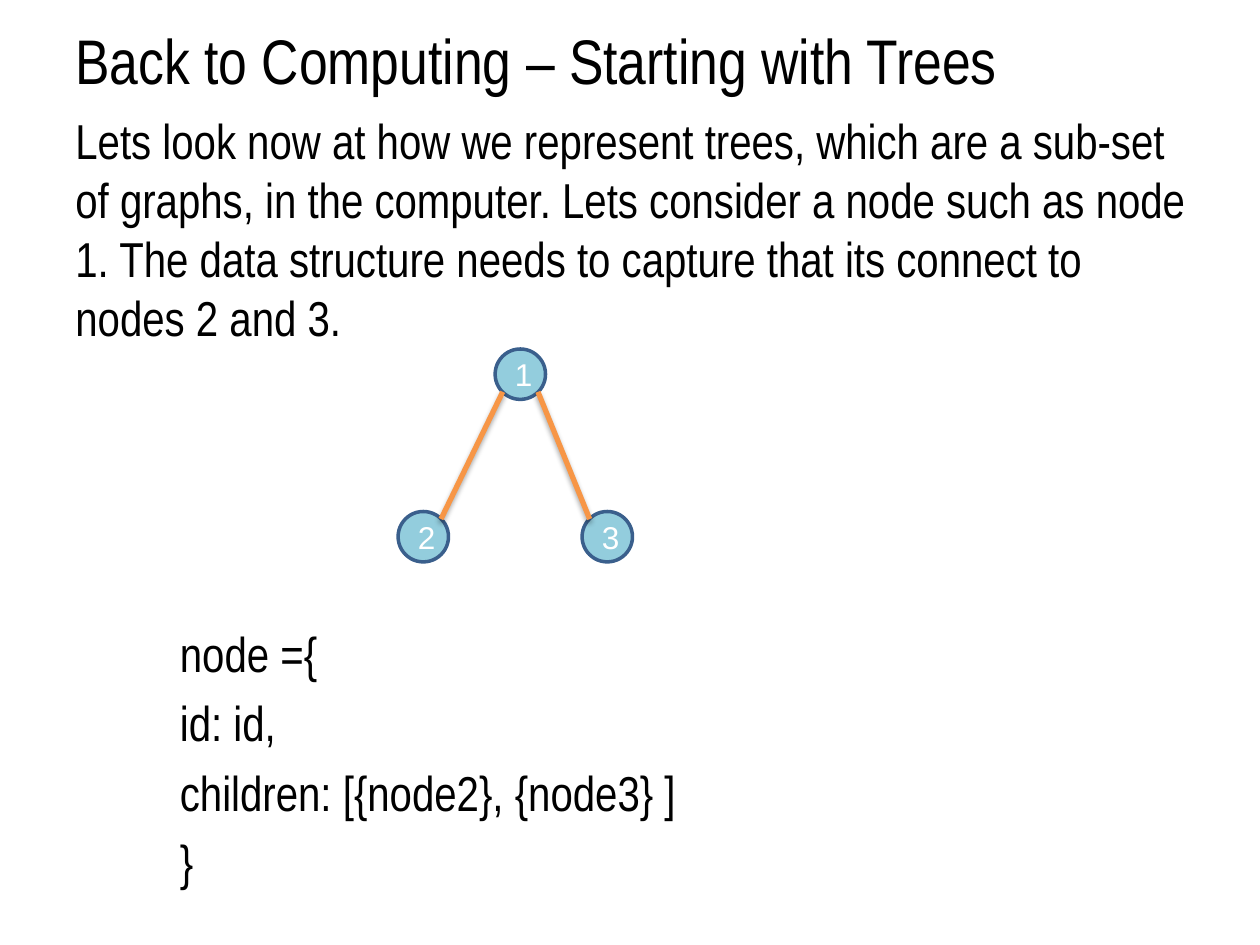
import pptx
import pptx.dml.color
import pptx.enum.shapes
import pptx.enum.text
import pptx.oxml
import pptx.util
from pptx.util import Inches, Pt

NODE_SIZE = 0.4
SHADOW_XML = (
    '<a:effectLst xmlns:a="http://schemas.openxmlformats.org/drawingml/2006/main">'
    '<a:outerShdw blurRad="{}" dist="{}" dir="5400000" rotWithShape="0">'
    '<a:srgbClr val="000000"><a:alpha val="35000"/></a:srgbClr>'
    '</a:outerShdw></a:effectLst>'
).format(Pt(3.1), Pt(1.8))


def color(hex_string):
    return pptx.dml.color.RGBColor.from_string(hex_string)


def format_text(text_frame, font_name, size, hex_string, space_before=0):
    text_frame.word_wrap = True
    for paragraph in text_frame.paragraphs:
        paragraph.space_before = Pt(space_before)
        for run in paragraph.runs:
            run.font.name = font_name
            run.font.size = Pt(size)
            run.font.color.rgb = color(hex_string)


presentation = pptx.Presentation()
presentation.slide_width = Inches(10)
presentation.slide_height = Inches(7.5)
slide = presentation.slides.add_slide(presentation.slide_layouts[6])

# Title, explanation and code: left, top, height, size, space before, anchor, text
top_anchor = pptx.enum.text.MSO_ANCHOR.TOP
middle_anchor = pptx.enum.text.MSO_ANCHOR.MIDDLE
explanation = (
    "Lets look now at how we represent trees, which are a sub-set of graphs, "
    "in the computer. Lets consider a node such as node 1. The data structure "
    "needs to capture that its connect to nodes 2 and 3."
)
code = "node ={\nid: id,\nchildren: [{node2}, {node3} ]\n}"
for left, top, height, size, space, anchor, text in (
    (0.5, 0.08, 0.78, 36, 0, middle_anchor, "Back to Computing – Starting with Trees"),
    (0.5, 0.83, 2.33, 28, 6, top_anchor, explanation),
    (1.33, 4.9, 2.33, 28, 6, top_anchor, code),
):
    text_box = slide.shapes.add_textbox(
        Inches(left), Inches(top), Inches(9), Inches(height))
    text_box.text_frame.text = text
    text_box.text_frame.vertical_anchor = anchor
    format_text(text_box.text_frame, "Arial Narrow", size, "000000", space)

# Tree nodes
nodes = {"1": (3.93, 2.77), "2": (3.16, 4.06), "3": (4.62, 4.06)}
for label, (left, top) in nodes.items():
    node = slide.shapes.add_shape(
        pptx.enum.shapes.MSO_SHAPE.OVAL,
        Inches(left), Inches(top), Inches(NODE_SIZE), Inches(NODE_SIZE))
    node.shadow.inherit = False
    node.fill.solid()
    node.fill.fore_color.rgb = color("93CDDD")
    node.line.color.rgb = color("3A5F8C")
    node.line.width = Pt(2)
    node.text_frame.text = label
    node.text_frame.vertical_anchor = middle_anchor
    node.text_frame.paragraphs[0].alignment = pptx.enum.text.PP_ALIGN.CENTER
    format_text(node.text_frame, "Arial", 18, "FFFFFF")

# Edges join the diagonal points of the circles, a fixed inset from each box
inset = 0.15 * NODE_SIZE
far_inset = NODE_SIZE - inset
root_left, root_top = nodes["1"]
for child, root_offset, child_offset in (
    ("2", inset, far_inset),
    ("3", far_inset, inset),
):
    child_left, child_top = nodes[child]
    edge = slide.shapes.add_connector(
        pptx.enum.shapes.MSO_CONNECTOR.STRAIGHT,
        Inches(root_left + root_offset), Inches(root_top + far_inset),
        Inches(child_left + child_offset), Inches(child_top + inset))
    edge.line.color.rgb = color("F79646")
    edge.line.width = Pt(3)
    edge._element.spPr.append(pptx.oxml.parse_xml(SHADOW_XML))

presentation.save("out.pptx")
